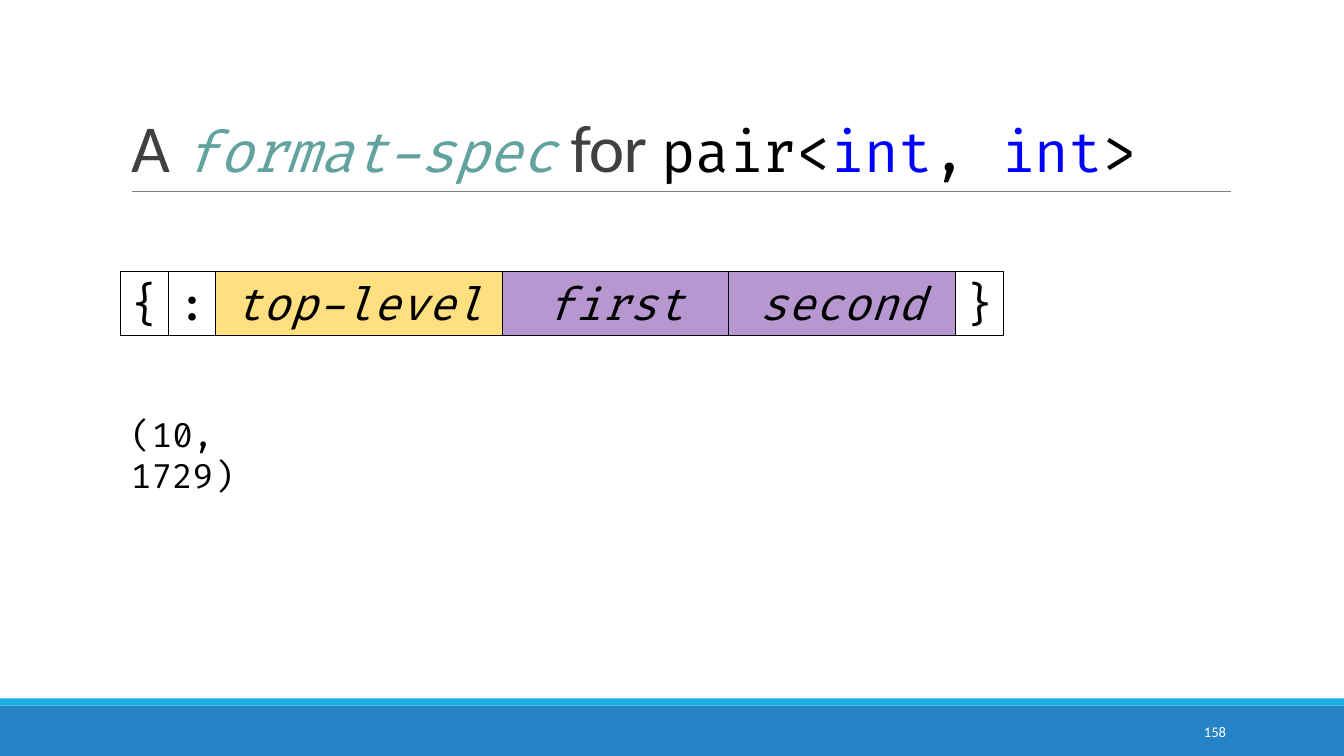
import pptx
import pptx.dml.color
import pptx.enum.shapes
import pptx.enum.text
import pptx.oxml
import pptx.oxml.ns
import pptx.util

Inches, Pt = pptx.util.Inches, pptx.util.Pt
ALIGN = pptx.enum.text.PP_ALIGN
ANCHOR = pptx.enum.text.MSO_ANCHOR
CODE, BODY = "Fira Code", "Calibri"

PROSE = dict(name=BODY, size=48, color="404040")
TITLE = [
    ("A ", PROSE),
    ("format-spec", dict(name=CODE, size=40, color="62A39F", italic=True)),
    (" for ", PROSE),
] + [
    (text, dict(name=CODE, size=40, color=color))
    for text, color in [("pair<", "000000"), ("int", "0000FF"), (", ", "000000"),
                        ("int", "0000FF"), (">", "000000")]
]
# text, width, fill
SPEC_PARTS = [
    ("{", 0.47, None),
    (":", 0.47, None),
    ("top-level", 2.84, "FFC000"),
    ("first", 2.25, "7030A0"),
    ("second", 2.25, "7030A0"),
    ("}", 0.47, None),
]
OUTPUT = "(10, 1729)"
SLIDE_NUMBER = "158"
FOOTER_BARS = [((0, 7, 13.33, 0.5), "2683C6"), ((0, 6.93, 13.33, 0.07), "1CADE4")]
LEFT, SPEC_TOP, SPEC_HEIGHT = 1.2, 2.69, 0.64


def rgb(value):
    return pptx.dml.color.RGBColor.from_string(value)


def add_run(p, text, color, size, **font):
    r = p.add_run()
    r.text = text
    r.font.color.rgb = rgb(color)
    r.font.size = Pt(size)
    for key, value in font.items():
        setattr(r.font, key, value)
    return r


def add_box(s, at, fill=None, line=None):
    sp = s.shapes.add_shape(pptx.enum.shapes.MSO_SHAPE.RECTANGLE, *map(Inches, at))
    sp.shadow.inherit = False
    if fill:
        sp.fill.solid()
        sp.fill.fore_color.rgb = rgb(fill)
    else:
        sp.fill.background()
    if line:
        sp.line.color.rgb = rgb(line)
        sp.line.width = Pt(0.75)
    else:
        sp.line.fill.background()
    return sp


def set_half_transparent(sp):
    color = sp.fill._xPr.find(".//" + pptx.oxml.ns.qn("a:srgbClr"))
    color.append(pptx.oxml.parse_xml(
        '<a:alpha %s val="50000"/>' % pptx.oxml.ns.nsdecls("a")))


def add_label(s, at, text, align, frame, **font):
    tf = s.shapes.add_textbox(*map(Inches, at)).text_frame
    for key, value in dict(word_wrap=True, **frame).items():
        setattr(tf, key, value)
    tf.paragraphs[0].alignment = align
    add_run(tf.paragraphs[0], text, **font)


def add_title(s):
    sp = s.shapes.title
    sp.left, sp.top, sp.width, sp.height = map(Inches, (LEFT, 0.31, 11, 1.59))
    tf = sp.text_frame
    tf.vertical_anchor = ANCHOR.BOTTOM
    tf.auto_size = pptx.enum.text.MSO_AUTO_SIZE.NONE
    p = tf.paragraphs[0]
    p.alignment = ALIGN.LEFT
    p.line_spacing = 0.85
    for text, font in TITLE:
        add_run(p, text, **font).font._element.set("spc", "-50")


def add_title_rule(s):
    line = s.shapes.add_connector(pptx.enum.shapes.MSO_CONNECTOR.STRAIGHT,
                                  *map(Inches, (1.31, 1.9, 12.21, 1.9)))
    line.line.color.rgb = rgb("808080")
    line.line.width = Pt(0.5)
    line._element.spPr.append(pptx.oxml.parse_xml(
        "<a:effectLst %s/>" % pptx.oxml.ns.nsdecls("a")))


def add_spec(s):
    left = LEFT
    for text, width, fill in SPEC_PARTS:
        sp = add_box(s, (left, SPEC_TOP, width, SPEC_HEIGHT), fill, "000000")
        if fill:
            set_half_transparent(sp)
        tf = sp.text_frame
        tf.word_wrap = bool(fill)
        tf.vertical_anchor = ANCHOR.TOP
        p = tf.paragraphs[0]
        p.alignment = ALIGN.CENTER if fill else ALIGN.LEFT
        add_run(p, text, name=CODE, size=32, color="000000", italic=bool(fill))
        left += width


def main():
    prs = pptx.Presentation()
    prs.slide_width, prs.slide_height = Inches(13.33), Inches(7.5)
    s = prs.slides.add_slide(prs.slide_layouts[5])
    for at, fill in FOOTER_BARS:
        add_box(s, at, fill)
    add_title_rule(s)
    add_title(s)
    add_spec(s)
    add_label(s, (LEFT, 4.06, 2.22, 0.5), OUTPUT, ALIGN.LEFT,
              dict(margin_right=Inches(0.4)), name=CODE, size=24, color="000000")
    add_label(s, (10.83, 7.06, 1.43, 0.4), SLIDE_NUMBER, ALIGN.RIGHT,
              dict(vertical_anchor=ANCHOR.MIDDLE), name=BODY, size=10.5, color="FFFFFF")
    prs.save("out.pptx")


if __name__ == "__main__":
    main()
